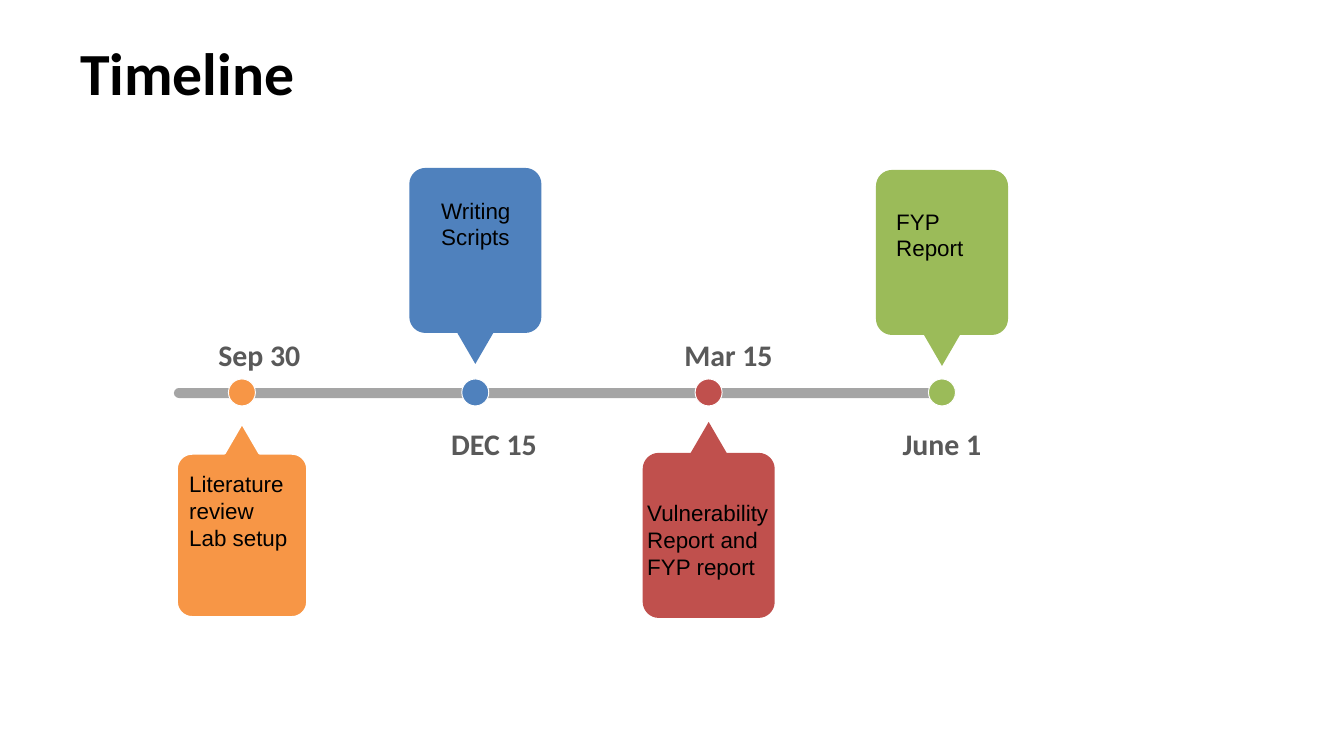
from math import cos, sin, radians
from lxml import etree
from pptx import Presentation
from pptx.dml.color import RGBColor
from pptx.enum.shapes import MSO_SHAPE
from pptx.enum.text import MSO_ANCHOR, PP_ALIGN
from pptx.oxml.ns import qn
from pptx.util import Pt

OVAL, ROUND = MSO_SHAPE.OVAL, MSO_SHAPE.ROUNDED_RECTANGLE
TOP, MIDDLE = MSO_ANCHOR.TOP, MSO_ANCHOR.MIDDLE
LEFT, CENTER = PP_ALIGN.LEFT, PP_ALIGN.CENTER

BLACK = RGBColor(0x00, 0x00, 0x00)
WHITE = RGBColor(0xFF, 0xFF, 0xFF)
GRAY = RGBColor(0x80, 0x80, 0x80)
DARK = RGBColor(0x59, 0x59, 0x59)
ORANGE = RGBColor(0xF7, 0x96, 0x46)
BLUE = RGBColor(0x4F, 0x81, 0xBD)
RED = RGBColor(0xC0, 0x50, 0x4D)
GREEN = RGBColor(0x9B, 0xBB, 0x59)

SCALE = 914400 / 134.4


def px(*vals):
    return [round(v * SCALE) for v in vals]


def add_text(text, box, size=12, font="Arial", color=BLACK, bold=False,
             align=LEFT, anchor=TOP):
    frame = slide.shapes.add_textbox(*px(*box)).text_frame
    frame.word_wrap = True
    frame.vertical_anchor = anchor
    frame.text = text
    for para in frame.paragraphs:
        para.alignment = align
        para.font.size = Pt(size)
        para.font.name = font
        para.font.bold = bold
        para.font.color.rgb = color


prs = Presentation()
prs.slide_width, prs.slide_height = px(1344, 756)
slide = prs.slides.add_slide(prs.slide_layouts[6])

# Title
add_text("Timeline", (67, 34, 1210, 75), size=32, font="Calibri", bold=True,
         anchor=MIDDLE)

# Axis bar, 70% opaque
bar = slide.shapes.add_shape(ROUND, *px(174, 388, 774, 10))
bar.adjustments[0] = 0.5
bar.shadow.inherit = False
bar.fill.solid()
bar.fill.fore_color.rgb = GRAY
tint = bar.fill._xPr.find(".//" + qn("a:srgbClr"))
etree.SubElement(tint, qn("a:alpha")).set("val", "70000")
bar.line.fill.background()

# Callout outline from its tip; each corner is a start, two handles and an end
HALF, BODY, TALL, CURVE, NECK = 66, 31, 196, 16, 18
BEND = 0.55
side, near, far = HALF - CURVE, BODY + CURVE, TALL - CURVE
edge = [(NECK, BODY)]
for cx, cy, start in [(side, near, -90), (side, far, 0),
                      (-side, far, 90), (-side, near, 180)]:
    c, s = cos(radians(start)), sin(radians(start))
    for a, b in [(1, 0), (1, BEND), (BEND, 1), (0, 1)]:
        edge.append((cx + CURVE * (a * c - b * s),
                     cy + CURVE * (a * s + b * c)))
edge.append((-NECK, BODY))

# Milestones: date, date box, note, note box, colour, tip, direction
stops = [
    ("Sep 30", (176, 330, 167, 50), "Literature review\nLab setup",
     (176, 464, 125, 113), ORANGE, 422, 1),
    ("Mar 15", (643, 330, 171, 50), "Vulnerability\nReport and\nFYP report",
     (634, 493, 192, 63), RED, 422, 1),
    ("DEC 15", (410, 419, 168, 50), "Writing\nScripts",
     (428, 190, 148, 63), BLUE, 364, -1),
    ("June 1", (876, 419, 132, 50), "FYP\nReport",
     (883, 201, 192, 63), GREEN, 366, -1),
]
for (date, spot, note, area, color, tip, way), i in zip(stops, (0, 2, 1, 3)):
    mid = 242 + i * 700 / 3
    dot = slide.shapes.add_shape(OVAL, *px(mid - 13.5, 379, 27, 27))
    dot.line.color.rgb = WHITE
    dot.line.width = Pt(0.5)

    pen = slide.shapes.build_freeform(*px(mid, tip), scale=1.0)
    pen.add_line_segments([px(mid + x, tip + way * y) for x, y in edge])
    card = pen.convert_to_shape()
    # Turn the last three points of each corner into one curve
    lines = card._element.findall(".//" + qn("a:lnTo"))
    for n in (2, 6, 10, 14):
        arc = etree.Element(qn("a:cubicBezTo"))
        lines[n].addprevious(arc)
        for line in lines[n:n + 3]:
            arc.append(line[0])
            line.getparent().remove(line)
    if color == ORANGE:
        card.line.color.rgb = WHITE
        card.line.width = Pt(2)
    else:
        card.line.fill.background()

    for shape in (dot, card):
        shape.shadow.inherit = False
        shape.fill.solid()
        shape.fill.fore_color.rgb = color

    add_text(date, spot, size=16, font="Calibri", color=DARK, bold=True,
             align=CENTER)

# Notes on the callouts
for date, spot, note, area, *rest in stops:
    add_text(note, area)

prs.save("out.pptx")
